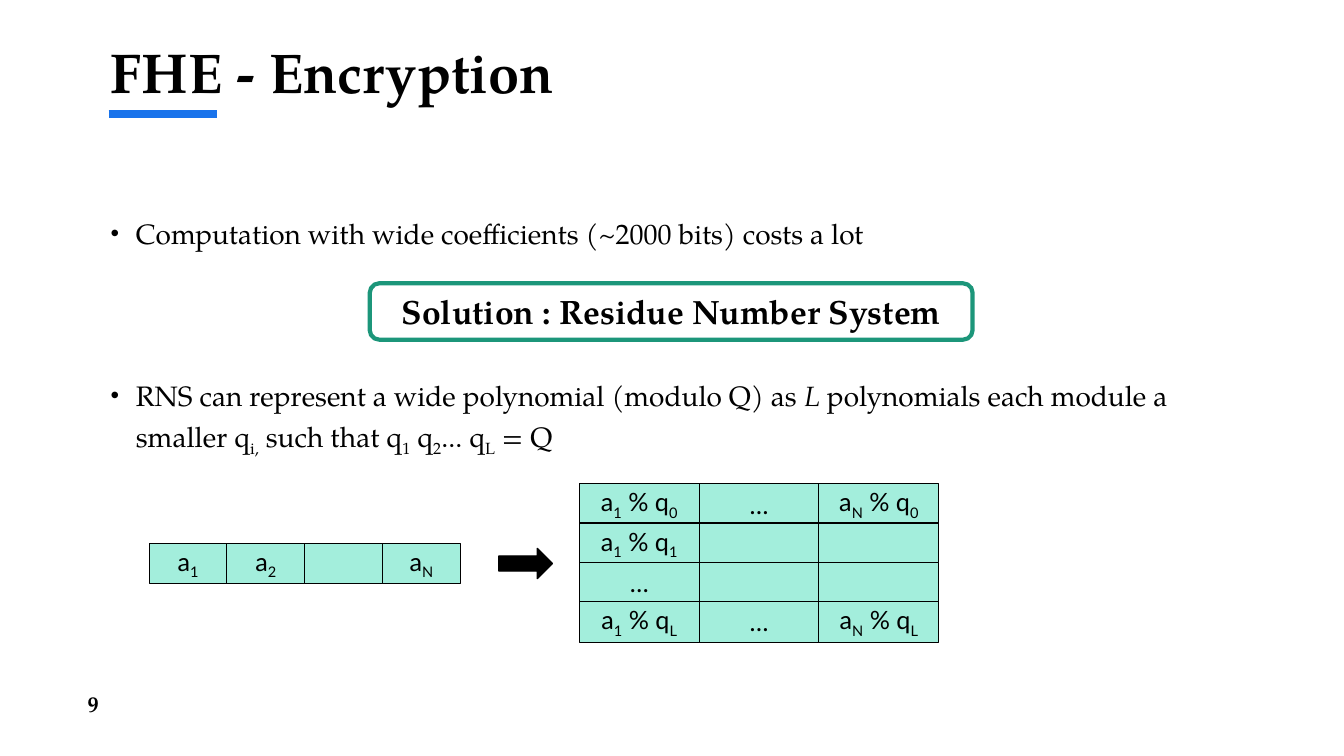
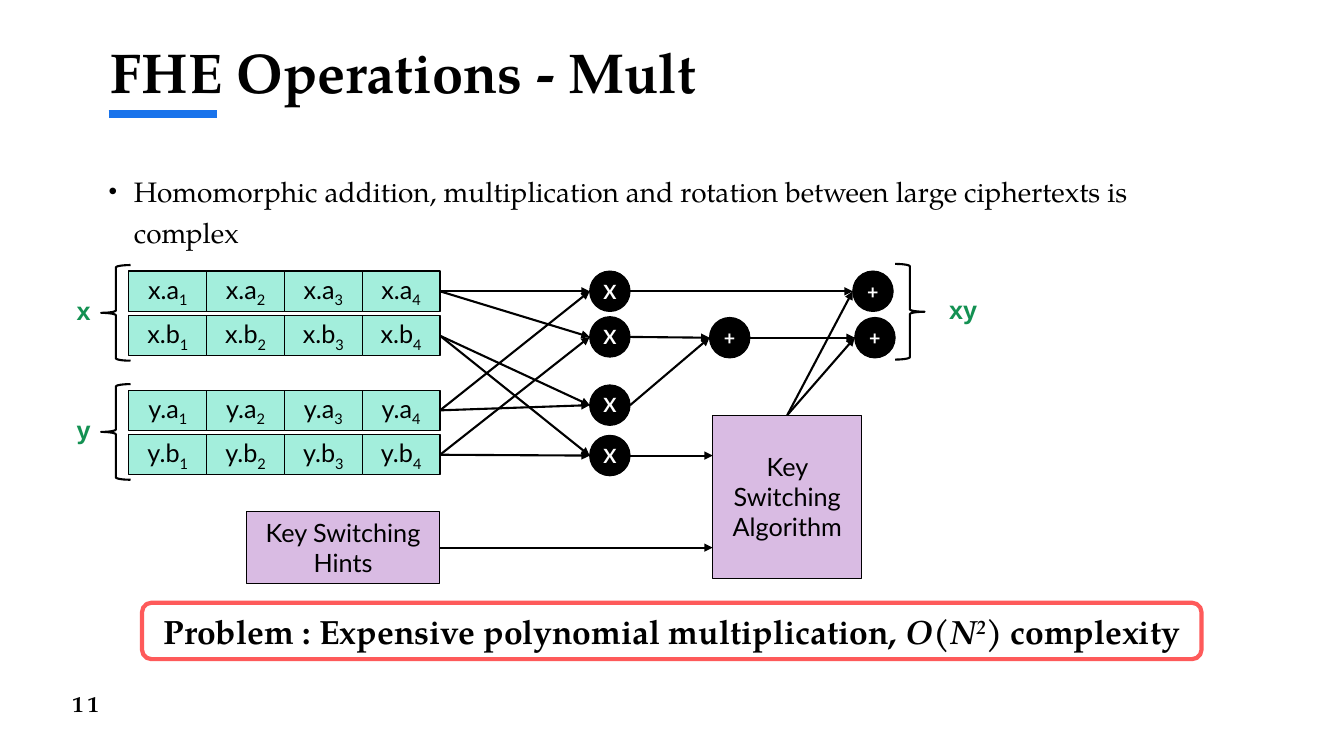
from lxml.etree import SubElement as Sub
from pptx import Presentation
from pptx.dml.color import RGBColor as Rgb
from pptx.enum.shapes import MSO_CONNECTOR as Conn, MSO_SHAPE as Form
from pptx.enum.text import MSO_ANCHOR as Anchor, PP_ALIGN as Align
from pptx.oxml.ns import qn
from pptx.util import Cm, Pt

INK = {"black": "000000", "white": "FFFFFF", "blue": "1973EB", "mint": "A3EEDC",
       "teal": "1C967A", "green": "139152", "lilac": "D9BBE3", "red": "FE5A5A"}
SERIF, SANS, LABEL = "TeX Gyre Pagella", "Lato", "Arial"
MARKS = {"_": ("baseline", "-25000"), "^": ("baseline", "30000"), "/": ("i", "1")}
CELL = 1.02


def west(box):
    return box.left, box.top + box.height // 2


def east(box):
    return box.left + box.width, box.top + box.height // 2


def north(box):
    return box.left + box.width // 2, box.top


class Deck:
    """Draw styled elements on the current slide; | splits text into runs marked _ sub, ^ super, / italic."""

    def __init__(self):
        self.prs = Presentation()
        self.prs.slide_width, self.prs.slide_height = Cm(33.87), Cm(19.05)

    def page(self, title, num):
        self.shapes = self.prs.slides.add_slide(self.prs.slide_layouts[6]).shapes
        self.line((Cm(2.74), Cm(2.87)), (Cm(5.46), Cm(2.87)), "blue", 6)
        self.text(2.54, 0.81, 28.78, 3.66, title, 40, bold=True)
        par = self.text(0.74, 17.22, 2, 1.02, num, 16, bold=True,
                        align=Align.RIGHT, anchor=Anchor.MIDDLE)
        par.runs[0]._r.get_or_add_rPr().set("spc", "300")

    def put(self, par, text, size, face, ink="black", bold=False, align=None):
        for part in text.split("|"):
            run = par.add_run()
            while part[0] in MARKS:
                run._r.get_or_add_rPr().set(*MARKS[part[0]])
                part = part[1:]
            run.text = part
        par.alignment = align
        font = par.font
        font.name, font.size, font.bold = face, Pt(size), bold
        font.color.rgb = Rgb.from_string(INK[ink])

    def frame(self, box, anchor, pad=True):
        frame = box.text_frame
        frame.word_wrap, frame.vertical_anchor = True, anchor
        if not pad:
            frame.margin_left = frame.margin_right = 0
            frame.margin_top = frame.margin_bottom = 0
        return frame

    def text(self, x, y, w, h, text, size, face=SERIF, ink="black", bold=False,
             align=Align.LEFT, anchor=Anchor.TOP, pad=True):
        box = self.shapes.add_textbox(Cm(x), Cm(y), Cm(w), Cm(h))
        par = self.frame(box, anchor, pad).paragraphs[0]
        self.put(par, text, size, face, ink, bold, align)
        return par

    def bullets(self, x, y, items, gap=0):
        box = self.shapes.add_textbox(Cm(x), Cm(y), Cm(28.78), Cm(8.59))
        frame = self.frame(box, Anchor.TOP)
        for i, item in enumerate(items):
            par = frame.add_paragraph() if i else frame.paragraphs[0]
            prop = par._p.get_or_add_pPr()
            prop.set("marL", "228600")
            prop.set("indent", "-228600")
            Sub(prop, qn("a:buSzPct"), val="87000")
            Sub(prop, qn("a:buFont"), typeface=LABEL)
            Sub(prop, qn("a:buChar"), char="•")
            par.line_spacing = 1.2
            if i:
                par.space_before = Pt(gap)
            self.put(par, item, 20, SERIF)

    def shape(self, form, x, y, w, h, fill=None, line="black", width=0.75):
        box = self.shapes.add_shape(form, Cm(x), Cm(y), Cm(w), Cm(h))
        box.shadow.inherit = False
        if fill:
            box.fill.solid()
            box.fill.fore_color.rgb = Rgb.from_string(INK[fill])
        else:
            box.fill.background()
        box.line.color.rgb = Rgb.from_string(INK[line])
        box.line.width = Pt(width)
        return box

    def block(self, x, y, w, h, text, fill="mint"):
        box = self.shape(Form.RECTANGLE, x, y, w, h, fill)
        if text:
            par = self.frame(box, Anchor.MIDDLE).paragraphs[0]
            self.put(par, text, 18, SANS, align=Align.CENTER)
        return box

    def row(self, x, y, w, texts):
        return [self.block(x + i * w, y, w, CELL, text) for i, text in enumerate(texts)]

    def node(self, x, y, sign):
        box = self.shape(Form.OVAL, x, y, CELL, CELL, "black")
        par = self.frame(box, Anchor.MIDDLE, False).paragraphs[0]
        self.put(par, sign, 14, SANS, "white", True, Align.CENTER)
        return box

    def banner(self, x, y, w, text, ink):
        box = self.shape(Form.ROUNDED_RECTANGLE, x, y, w, 1.42, None, ink, 3)
        par = self.frame(box, Anchor.MIDDLE).paragraphs[0]
        self.put(par, text, 24, SERIF, bold=True, align=Align.CENTER)

    def brace(self, x, y, turn=0):
        self.shape(Form.LEFT_BRACE, x, y, 0.74, 2.41, width=1.5).rotation = turn

    def label(self, x, y, w, text):
        self.text(x, y, w, CELL, text, 18, LABEL, "green", True,
                  Align.CENTER, Anchor.MIDDLE, False)

    def line(self, start, end, ink="black", width=1.5):
        link = self.shapes.add_connector(Conn.STRAIGHT, *start, *end)
        link.line.color.rgb = Rgb.from_string(INK[ink])
        link.line.width = Pt(width)
        Sub(link._element.spPr, qn("a:effectLst"))
        return link

    def arrow(self, start, end):
        link = self.line(start, end)
        Sub(link._element.spPr.find(qn("a:ln")), qn("a:tailEnd"), type="triangle")


def encrypt(deck):
    deck.page("FHE - Encryption", "9")
    deck.bullets(2.54, 5.16, [
        "Computation with wide coefficients (~2000 bits) costs a lot",
        "RNS can represent a wide polynomial (modulo Q) as |/L| polynomials each module a "
        "smaller q|_i,| such that q|_1| q|_2|... q|_L| = Q"], 87)
    deck.banner(9.32, 7.14, 15.19, "Solution : Residue Number System", "teal")
    deck.row(3.76, 13.69, 1.96, ["a|_1", "a|_2", "", "a|_N"])
    deck.shape(Form.RIGHT_ARROW, 12.57, 13.82, 1.35, 0.76, "black", width=1)
    grid = [["a|_1| % q|_0", "…", "a|_N| % q|_0"],
            ["a|_1| % q|_1", "", ""],
            ["…", "", ""],
            ["a|_1| % q|_L", "…", "a|_N| % q|_L"]]
    for i, texts in enumerate(grid):
        deck.row(14.6, 12.19 + i * 0.99, 3.02, texts)


def multiply(deck):
    deck.page("FHE Operations - Mult", "11")
    deck.bullets(2.49, 4.11, ["Homomorphic addition, multiplication and rotation "
                              "between large ciphertexts is complex"])
    ends = []
    for name, top in (("x", 6.83), ("y", 9.83)):
        for i, part in enumerate("ab"):
            texts = [f"{name}.{part}|_{n}" for n in range(1, 5)]
            ends.append(deck.row(3.25, top + i * 1.12, 1.96, texts)[-1])
        deck.brace(2.55, top - 0.15)
        deck.label(1.75, top + 0.48, 0.71, name)
    deck.brace(22.56, 6.65, 180)
    deck.label(23.62, 7.29, 1.3, "xy")

    mults = [deck.node(14.86, y, "X") for y in (6.83, 7.98, 9.7, 10.97)]
    mid, top, low = [deck.node(x, y, "+")
                     for x, y in ((17.88, 8), (21.49, 6.83), (21.54, 8))]
    algo = deck.block(17.96, 10.46, 3.76, 4.11, "Key Switching Algorithm", "lilac")
    hints = deck.block(6.22, 12.9, 4.85, 1.8, "Key Switching Hints", "lilac")

    pairs = [(ends[i], mults[j]) for i, js in enumerate(((0, 1), (2, 3), (0, 2), (1, 3)))
             for j in js]
    pairs += [(mults[0], top), (mults[1], mid), (mults[2], mid), (mid, low)]
    for a, b in pairs:
        deck.arrow(east(a), west(b))
    for box in (mults[3], hints):
        deck.arrow(east(box), (algo.left, east(box)[1]))
    for box in (top, low):
        deck.arrow(north(algo), west(box))
    deck.banner(3.58, 15.19, 26.7, "Problem : Expensive polynomial multiplication, "
                "|/O(N|/^2|/) |complexity", "red")


def main():
    deck = Deck()
    encrypt(deck)
    multiply(deck)
    deck.prs.save("out.pptx")


if __name__ == "__main__":
    main()
